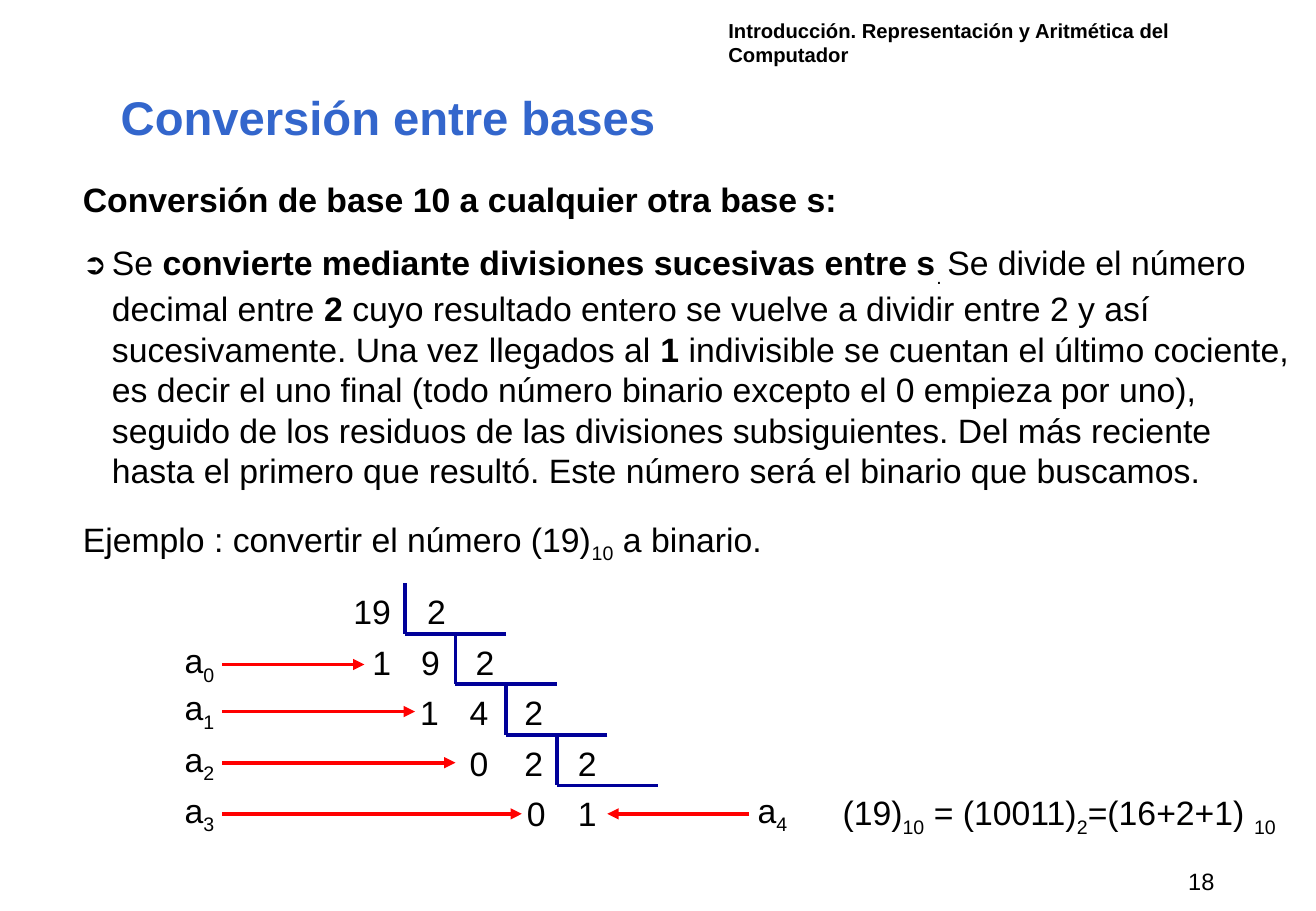
from dataclasses import dataclass

from lxml import etree
from pptx import Presentation
from pptx.dml.color import RGBColor
from pptx.enum.shapes import MSO_CONNECTOR
from pptx.oxml.ns import qn
from pptx.shapes.autoshape import Shape
from pptx.shapes.connector import Connector
from pptx.slide import Slide
from pptx.util import Inches, Pt

STRAIGHT = MSO_CONNECTOR.STRAIGHT
LEFT_SIDE, RIGHT_SIDE = 1, 3

WIDTH, HEIGHT = Inches(10.84), Inches(7.5)
COLUMNS, ROWS = 26, 18


@dataclass(frozen=True)
class Theme:
    font: str = "Arial"
    ink: RGBColor = RGBColor(0x00, 0x00, 0x00)
    title: RGBColor = RGBColor(0x33, 0x66, 0xCC)
    bracket: RGBColor = RGBColor(0x00, 0x00, 0x99)
    arrow: RGBColor = RGBColor(0xFF, 0x00, 0x00)
    title_size: int = 28
    body_size: int = 20
    page_size: int = 14
    header_size: int = 12
    line_width: float = 2.25
    subscript: str = "-25000"
    bullet_scale: str = "85000"


THEME = Theme()


@dataclass(frozen=True)
class Span:
    text: str
    bold: bool = False
    sub: bool = False


@dataclass(frozen=True)
class TextBlock:
    column: float
    row: float
    columns: float
    rows: float
    spans: tuple[Span, ...]
    size: int = THEME.body_size
    color: RGBColor = THEME.ink
    wrap: bool = True
    inset_x: float = 0.1
    inset_y: float = 0.05
    indent: float = 0
    bullet: str = ""


@dataclass(frozen=True)
class Step:
    dividend: str
    dividend_column: float
    divisor_column: float
    remainder: str
    remainder_column: float
    arrow_row: float
    arrow_tip: float


HEADER = "Introducción. Representación y Aritmética del Computador"
RULE = (
    Span("Se "),
    Span("convierte mediante divisiones sucesivas entre s", bold=True),
    Span(". ", sub=True),
    Span("Se divide el número decimal entre "),
    Span("2", bold=True),
    Span(" cuyo resultado entero se vuelve a dividir entre 2 y así "
         "sucesivamente. Una vez llegados al "),
    Span("1", bold=True),
    Span(" indivisible se cuentan el último cociente, es decir el uno final "
         "(todo número binario excepto el 0 empieza por uno), seguido de los "
         "residuos de las divisiones subsiguientes. Del más reciente hasta el "
         "primero que resultó. Este número será el binario que buscamos."),
)
EXAMPLE = (Span("Ejemplo : convertir el número (19)"), Span("10", sub=True),
           Span(" a binario."))
RESULT = (Span("(19)"), Span("10", sub=True), Span(" = (10011)"),
          Span("2", sub=True), Span("=(16+2+1) "), Span("10", sub=True))

BLOCKS = (
    TextBlock(13.58, 0.24, 11.8, 0.9, (Span(HEADER, bold=True),),
              size=THEME.header_size, indent=0.24),
    TextBlock(23.24, 17, 2.61, 0.81, (Span("18"),), size=THEME.page_size),
    TextBlock(2.15, 1.63, 11.5, 1.37, (Span("Conversión entre bases", bold=True),),
              size=THEME.title_size, color=THEME.title),
    TextBlock(1.4, 3.41, 24.58, 1.06,
              (Span("Conversión de base 10 a cualquier otra base s:", bold=True),)),
    TextBlock(1.4, 4.66, 24.58, 5.4, RULE, indent=0.24, bullet="➲"),
    TextBlock(1.4, 10.13, 24.58, 1.15, EXAMPLE),
    TextBlock(16.41, 15.53, 9.38, 1.15, RESULT),
)

STEPS = (
    Step("19", 6.98, 8.44, "1", 7.36, 13.13, 7.2),
    Step("9", 8.32, 9.4, "1", 8.3, 14.06, 8.2),
    Step("4", 9.28, 10.36, "0", 9.28, 15.07, 9),
    Step("2", 10.36, 11.42, "0", 10.41, 16.08, 10.31),
)
DIVISOR = "2"
LAST_QUOTIENT, LAST_QUOTIENT_COLUMN = "1", 11.42
LAST_LABEL_COLUMN, LAST_ARROW_TIP = 14.8, 12
DIGIT_ROW, DIGIT_COLUMNS, DIGIT_ROWS = 11.67, 0.38, 0.8
BRACKET_COLUMN, BRACKET_ROW = 8, 11.52
LABEL_COLUMN, LABEL_COLUMNS, LABEL_ROWS = 3.48, 0.91, 1.2


def x(column: float) -> int:
    return round(WIDTH * column / COLUMNS)


def y(row: float) -> int:
    return round(HEIGHT * row / ROWS)


def draw_text(slide: Slide, block: TextBlock) -> Shape:
    box = slide.shapes.add_textbox(x(block.column), y(block.row),
                                   x(block.columns), y(block.rows))
    frame = box.text_frame
    frame.word_wrap = block.wrap
    frame.margin_left = Inches(block.inset_x)
    frame.margin_right = Inches(block.inset_x if block.wrap else 0)
    frame.margin_top = frame.margin_bottom = Inches(block.inset_y)
    paragraph = frame.paragraphs[0]
    properties = paragraph._p.get_or_add_pPr()
    properties.set("marL", str(Inches(block.indent)))
    if block.bullet:
        properties.set("indent", str(-Inches(block.indent)))
        etree.SubElement(properties, qn("a:buSzPct")).set("val", THEME.bullet_scale)
        etree.SubElement(properties, qn("a:buFont")).set("typeface", THEME.font)
        etree.SubElement(properties, qn("a:buChar")).set("char", block.bullet)
    for span in block.spans:
        run = paragraph.add_run()
        run.text = span.text
        run.font.name = THEME.font
        run.font.size = Pt(block.size)
        run.font.bold = span.bold
        run.font.color.rgb = block.color
        if span.sub:
            run._r.get_or_add_rPr().set("baseline", THEME.subscript)
    return box


def draw_digit(slide: Slide, digits: str, column: float, level: int) -> None:
    draw_text(slide, TextBlock(column, DIGIT_ROW + level,
                               DIGIT_COLUMNS * len(digits), DIGIT_ROWS,
                               (Span(digits),), wrap=False, inset_x=0, inset_y=0))


def draw_line(slide: Slide, start: tuple[float, float], end: tuple[float, float],
              color: RGBColor) -> Connector:
    line = slide.shapes.add_connector(STRAIGHT, x(start[0]), y(start[1]),
                                      x(end[0]), y(end[1]))
    line.line.color.rgb = color
    line.line.width = Pt(THEME.line_width)
    etree.SubElement(line._element.spPr, qn("a:effectLst"))
    return line


def draw_coefficient(slide: Slide, index: int, column: float, row: float,
                     tip: float, side: int) -> None:
    label = draw_text(slide, TextBlock(
        column, row - LABEL_ROWS / 2, LABEL_COLUMNS, LABEL_ROWS,
        (Span("a"), Span(str(index), sub=True)), wrap=False, inset_x=0.07))
    arrow = draw_line(slide, (column, row), (tip, row), THEME.arrow)
    arrow.begin_connect(label, side)
    etree.SubElement(arrow.line._get_or_add_ln(), qn("a:tailEnd")).set("type", "triangle")


def draw_division(slide: Slide) -> None:
    for level, step in enumerate(STEPS):
        draw_digit(slide, step.dividend, step.dividend_column, level)
        draw_digit(slide, DIVISOR, step.divisor_column, level)
        draw_digit(slide, step.remainder, step.remainder_column, level + 1)
        column, top = BRACKET_COLUMN + level, BRACKET_ROW + level
        corner = (column, top + 1)
        draw_line(slide, (column, top), corner, THEME.bracket)
        draw_line(slide, (column + 2, top + 1), corner, THEME.bracket)
        draw_coefficient(slide, level, LABEL_COLUMN, step.arrow_row,
                         step.arrow_tip, RIGHT_SIDE)
    draw_digit(slide, LAST_QUOTIENT, LAST_QUOTIENT_COLUMN, len(STEPS))
    draw_coefficient(slide, len(STEPS), LAST_LABEL_COLUMN, STEPS[-1].arrow_row,
                     LAST_ARROW_TIP, LEFT_SIDE)


def main() -> None:
    deck = Presentation()
    deck.slide_width, deck.slide_height = WIDTH, HEIGHT
    slide = deck.slides.add_slide(deck.slide_layouts[6])
    for block in BLOCKS:
        draw_text(slide, block)
    draw_division(slide)
    deck.save("out.pptx")


if __name__ == "__main__":
    main()
